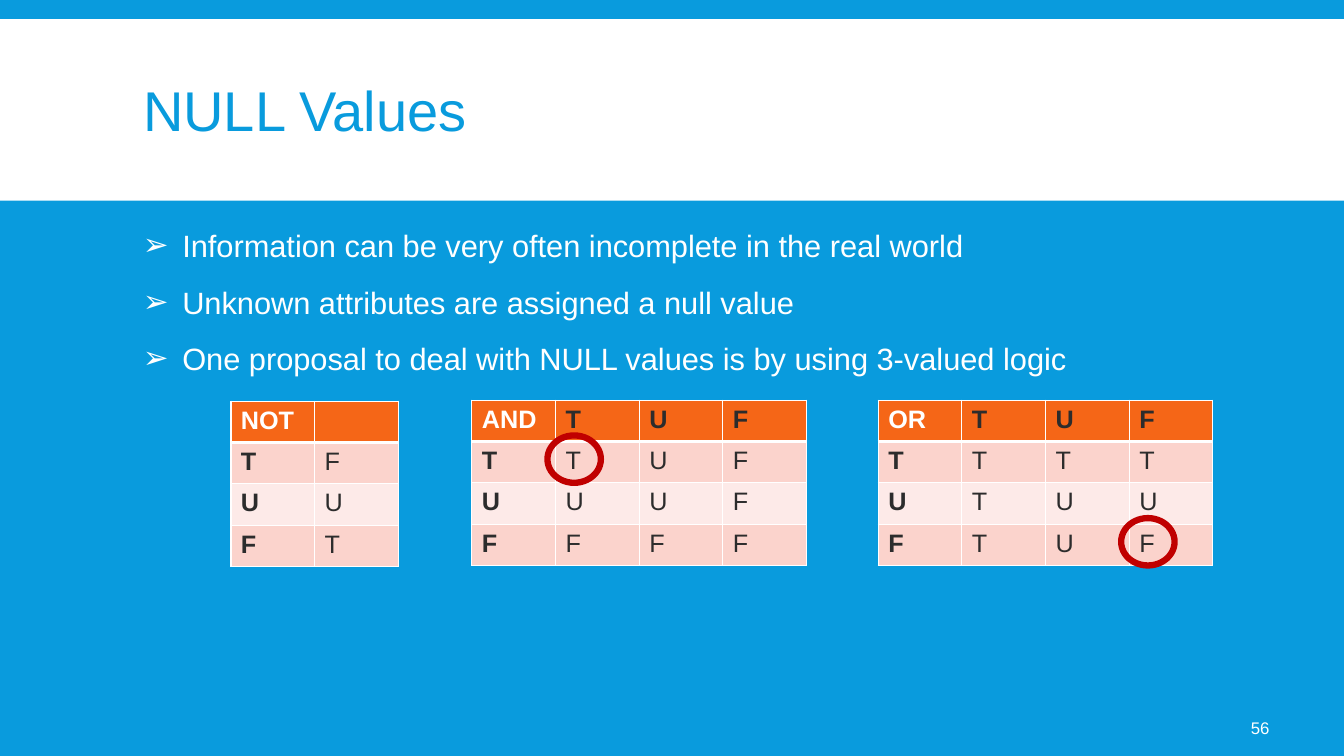
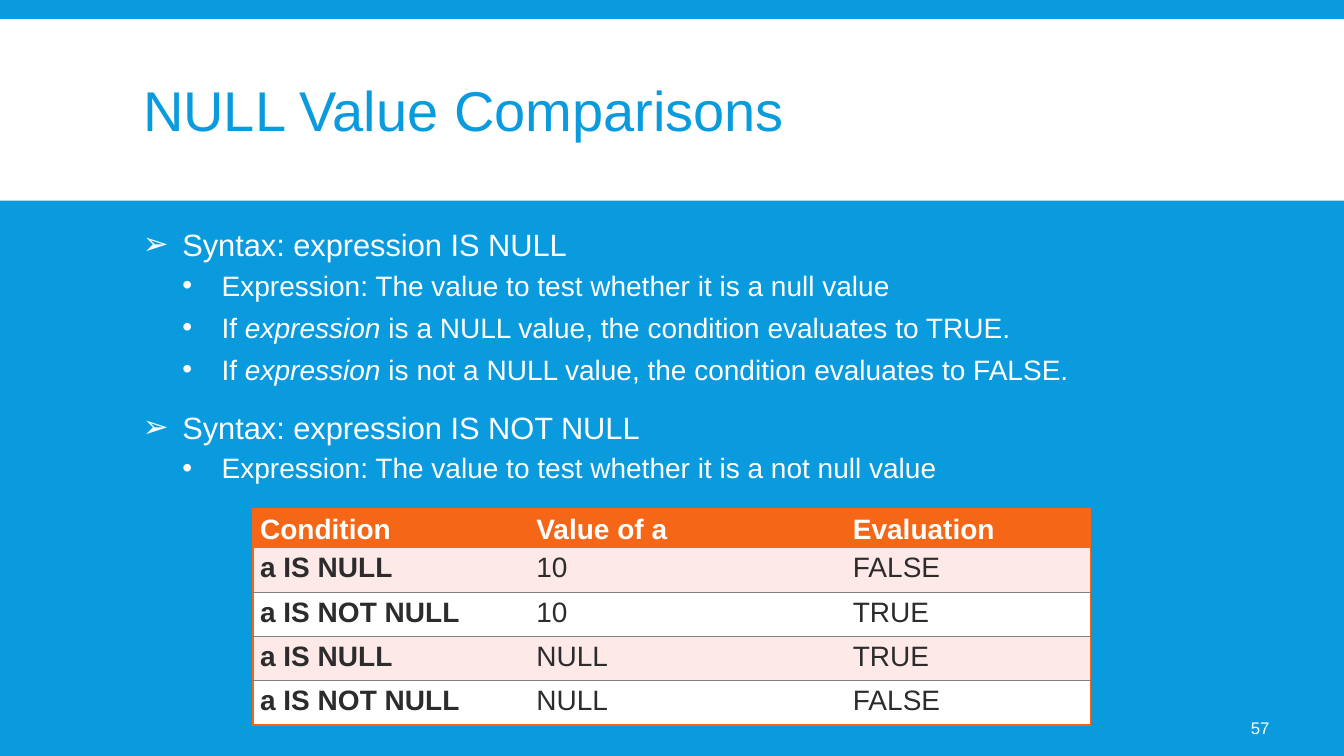
from lxml.etree import SubElement as Sub
from pptx import Presentation
from pptx.dml.color import RGBColor
from pptx.enum.shapes import MSO_SHAPE as Shape
from pptx.enum.text import MSO_ANCHOR as Anchor, PP_ALIGN as Align
from pptx.oxml.ns import qn
from pptx.util import Inches, Pt

BLUE = RGBColor(0x09, 0x9B, 0xDD)
WHITE = RGBColor(0xFF, 0xFF, 0xFF)
INK = RGBColor(0x2C, 0x2C, 0x2C)
ORANGE = RGBColor(0xF5, 0x66, 0x17)
ROSE = RGBColor(0xFB, 0xD3, 0xCC)
PALE = RGBColor(0xFD, 0xEA, 0xE8)
GREY = RGBColor(0x80, 0x80, 0x80)
RED = RGBColor(0xC0, 0x00, 0x00)
FONT = "Arial"
CELL_W, CELL_H = 0.83, 0.41

# Bullet levels: mark, size, indent, space before, space after
LEVELS = [("➢", 22, 0.39, 12, 2), ("•", 20, 0.78, 2, 4)]


def box(x, y, w, h):
    return [Inches(v) for v in (x, y, w, h)]


def style(para, size, color, bold=False):
    font = para.font
    font.name, font.size, font.bold = FONT, Pt(size), bold
    font.color.rgb = color


def frame(prs, title, number):
    """Add a slide with the shared band, title and page number."""
    slide = prs.slides.add_slide(prs.slide_layouts[5])
    # White band behind the title
    band = slide.shapes.add_shape(Shape.RECTANGLE, *box(0, 0.19, 13.33, 1.8))
    band.shadow.inherit = False
    band.fill.solid()
    band.fill.fore_color.rgb = WHITE
    band.line.fill.background()
    slide.shapes._spTree.insert(2, band._element)
    # Title
    head = slide.shapes.title
    head.left, head.top, head.width, head.height = box(1.32, 0.31, 10.7, 1.65)
    head.text_frame.text = title
    head.text_frame.vertical_anchor = Anchor.MIDDLE
    para = head.text_frame.paragraphs[0]
    para.alignment, para.line_spacing = Align.LEFT, 0.85
    style(para, 40, BLUE)
    # Page number
    page = slide.shapes.add_textbox(*box(11.66, 7.02, 1.03, 0.4)).text_frame
    page.word_wrap = True
    page.vertical_anchor = Anchor.MIDDLE
    page.text = str(number)
    page.paragraphs[0].alignment = Align.RIGHT
    style(page.paragraphs[0], 12, WHITE)
    return slide


def bullets(slide, area, items):
    """Fill an area with (level, text) items; *stars* mark italics."""
    text = slide.shapes.add_textbox(*box(*area)).text_frame
    text.word_wrap = True
    for i, (level, words) in enumerate(items):
        para = text.add_paragraph() if i else text.paragraphs[0]
        mark, size, indent, before, after = LEVELS[level]
        para.level = level
        para.space_before = Pt(before if i else 0)
        para.space_after = Pt(after)
        props = para._p.get_or_add_pPr()
        props.set("marL", str(Inches(indent)))
        props.set("indent", str(-Inches(0.39)))
        tint = Sub(props, qn("a:buClr"))
        Sub(tint, qn("a:srgbClr"), val=str(WHITE))
        Sub(props, qn("a:buFont"), typeface=FONT)
        Sub(props, qn("a:buChar"), char=mark)
        style(para, size, WHITE)
        for j, part in enumerate(words.split("*")):
            run = para.add_run()
            run.text = part
            if j % 2:
                run.font.italic = True


def edges(cell, **sides):
    """Set borders L, R, T, B as (colour, width), or None for no line."""
    props = cell._tc.get_or_add_tcPr()
    for side in "LRTB":
        line = Sub(props, qn("a:ln" + side))
        if sides.get(side):
            color, width = sides[side]
            line.set("w", str(Pt(width)))
            fill = Sub(line, qn("a:solidFill"))
            Sub(fill, qn("a:srgbClr"), val=str(color))
        else:
            Sub(line, qn("a:noFill"))


def grid(slide, x, y, widths, heights, rows):
    """Add a table and yield row, column, cell and paragraph."""
    area = box(x, y, sum(widths), sum(heights))
    table = slide.shapes.add_table(len(rows), len(widths), *area).table
    for col, width in zip(table.columns, widths):
        col.width = Inches(width)
    for r, row in enumerate(rows):
        table.rows[r].height = Inches(heights[r])
        for c, words in enumerate(row):
            cell = table.cell(r, c)
            cell.text = words
            yield r, c, cell, cell.text_frame.paragraphs[0]


def paint(cell, color):
    cell.fill.solid()
    cell.fill.fore_color.rgb = color


def truth(slide, x, y, rows, ring=None):
    """Draw a truth table, with a ring round one (row, column) cell."""
    widths, heights = [CELL_W] * len(rows[0]), [CELL_H] * len(rows)
    thin, thick = (WHITE, 1), (WHITE, 3)
    for r, c, cell, para in grid(slide, x, y, widths, heights, rows):
        edges(cell, L=thin, R=thin, T=thick if r == 1 else thin,
              B=thin if r else thick)
        paint(cell, (ROSE if r % 2 else PALE) if r else ORANGE)
        style(para, 18, INK if r or c else WHITE, not (r and c))
    if ring:
        row, col = ring
        spot = box(x + col * CELL_W - 0.08, y + row * CELL_H - 0.06, 0.53, 0.47)
        oval = slide.shapes.add_shape(Shape.OVAL, *spot)
        oval.shadow.inherit = False
        oval.fill.background()
        oval.line.color.rgb, oval.line.width = RED, Pt(4.5)


def results(slide, x, y, rows):
    """Draw the table of conditions and what they evaluate to."""
    widths, heights = [2.74, 3.14, 2.43], [0.36] + [0.44] * 4
    rim, rule = (ORANGE, 1), (GREY, 0.5)
    last = len(rows) - 1
    for r, c, cell, para in grid(slide, x, y, widths, heights, rows):
        edges(cell, L=None if c else rim, R=rim if c == 2 else None,
              T=rule if r > 1 else rim, B=rule if 0 < r < last else rim)
        paint(cell, (PALE if r % 2 else WHITE) if r else ORANGE)
        cell.margin_left = cell.margin_right = Inches(0.07)
        cell.margin_top = cell.margin_bottom = 0
        para.line_spacing = 1.15
        style(para, 20, INK if r else WHITE, not (r and c))


def values(prs):
    slide = frame(prs, "NULL Values", 56)
    bullets(slide, (1.32, 2.2, 10.7, 4.6), [
        (0, "Information can be very often incomplete in the real world"),
        (0, "Unknown attributes are assigned a null value"),
        (0, "One proposal to deal with NULL values is by using 3-valued logic"),
    ])
    truth(slide, 2.29, 3.98, [("NOT", ""), "TF", "UU", "FT"])
    truth(slide, 4.68, 3.97,
          [("AND", *"TUF"), "TTUF", "UUUF", "FFFF"], ring=(1, 1))
    truth(slide, 8.71, 3.97,
          [("OR", *"TUF"), "TTTT", "UTUU", "FTUF"], ring=(3, 3))


def tests(prs):
    slide = frame(prs, "NULL Value Comparisons", 57)
    bullets(slide, (1.32, 2.19, 10.7, 4.6), [
        (0, "Syntax: expression IS NULL"),
        (1, "Expression: The value to test whether it is a null value"),
        (1, "If *expression* is a NULL value, the condition evaluates to TRUE."),
        (1, "If *expression* is not a NULL value, "
            "the condition evaluates to FALSE."),
        (0, "Syntax: expression IS NOT NULL"),
        (1, "Expression: The value to test whether it is a not null value"),
    ])
    results(slide, 2.51, 5.05, [
        ("Condition", "Value of a", "Evaluation"),
        ("a IS NULL", "10", "FALSE"),
        ("a IS NOT NULL", "10", "TRUE"),
        ("a IS NULL", "NULL", "TRUE"),
        ("a IS NOT NULL", "NULL", "FALSE"),
    ])


def main():
    prs = Presentation()
    prs.slide_width, prs.slide_height = Inches(13.33), Inches(7.5)
    back = prs.slide_master.background.fill
    back.solid()
    back.fore_color.rgb = BLUE
    values(prs)
    tests(prs)
    prs.save("out.pptx")


if __name__ == "__main__":
    main()
